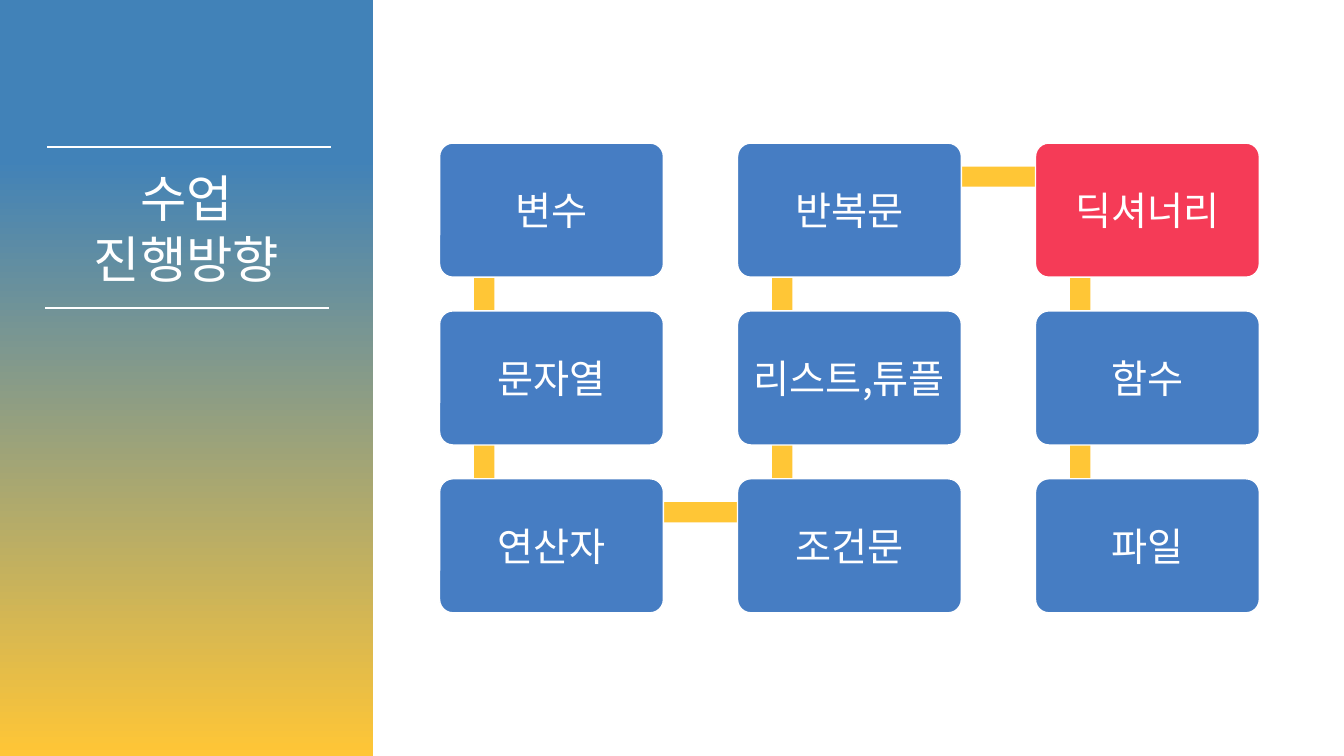
from dataclasses import dataclass

from lxml.etree import SubElement
from pptx import Presentation
from pptx.dml.color import RGBColor
from pptx.enum.shapes import MSO_CONNECTOR, MSO_SHAPE
from pptx.enum.text import MSO_ANCHOR, PP_ALIGN
from pptx.oxml.ns import qn
from pptx.util import Inches, Pt


@dataclass(frozen=True)
class Theme:
    font: str = "Noto Sans CJK KR"
    title_size: int = 36
    card_size: int = 28
    white: RGBColor = RGBColor.from_string("FFFFFF")
    sidebar_blue: RGBColor = RGBColor.from_string("4182B8")
    card_blue: RGBColor = RGBColor.from_string("467DC3")
    yellow: RGBColor = RGBColor.from_string("FFC636")
    red: RGBColor = RGBColor.from_string("F53B57")


THEME = Theme()
SLIDE_WIDTH, SLIDE_HEIGHT = 13.33, 7.5

# Lessons in teaching order with their (column, row) along the snaking route
ROUTE = [
    ("변수", 0, 0), ("문자열", 0, 1), ("연산자", 0, 2),
    ("조건문", 1, 2), ("리스트,튜플", 1, 1), ("반복문", 1, 0),
    ("딕셔너리", 2, 0), ("함수", 2, 1), ("파일", 2, 2),
]
CURRENT_LESSON = "딕셔너리"


def add_block(slide, kind, left, top, width, height, color=None):
    block = slide.shapes.add_shape(
        kind, Inches(left), Inches(top), Inches(width), Inches(height))
    block.shadow.inherit = False
    block.line.fill.background()
    if color is not None:
        block.fill.solid()
        block.fill.fore_color.rgb = color
    return block


def write_line(paragraph, text, size):
    paragraph.alignment = PP_ALIGN.CENTER
    run = paragraph.add_run()
    run.text = text
    run.font.name = THEME.font
    run.font.size = Pt(size)
    run.font.color.rgb = THEME.white
    # East Asian typeface for the Korean letters
    SubElement(run.font._element, qn("a:ea")).set("typeface", THEME.font)


def add_rule(slide, left, top, width):
    rule = slide.shapes.add_connector(
        MSO_CONNECTOR.STRAIGHT, Inches(left), Inches(top),
        Inches(left + width), Inches(top))
    rule.line.color.rgb = THEME.white
    rule.line.width = Pt(1.5)
    SubElement(rule._element.spPr, qn("a:effectLst"))


def draw_sidebar(slide, left, top, width, height):
    # Gradient panel
    panel = add_block(slide, MSO_SHAPE.RECTANGLE, left, top, width, height)
    panel.fill.gradient()
    panel.fill.gradient_angle = 270
    stops = ((0.21, THEME.sidebar_blue), (1, THEME.yellow))
    for stop, (position, color) in zip(panel.fill.gradient_stops, stops):
        stop.position = position
        stop.color.rgb = color

    # Rules above and below the title
    for indent, drop in ((0.47, 1.46), (0.45, 3.06)):
        add_rule(slide, left + indent, top + drop, 2.81)

    # Title
    title = slide.shapes.add_textbox(
        Inches(left), Inches(top + 1.61), Inches(width), Inches(1.31)).text_frame
    title.word_wrap = True
    write_line(title.paragraphs[0], "수업", THEME.title_size)
    write_line(title.add_paragraph(), "진행방향", THEME.title_size)


def draw_route(slide, left, top, width, height):
    card_width, card_height, bar = 2.22, 1.33, 0.2
    column_step = (width - card_width) / 2
    row_step = (height - card_height) / 2
    corners = [(left + column * column_step, top + row * row_step)
               for _, column, row in ROUTE]

    # Bars between consecutive lessons, tucked under the cards
    joints = [(x + 0.2 * card_width, y + 0.25 * card_height) for x, y in corners]
    for (x1, y1), (x2, y2) in zip(joints, joints[1:]):
        across, down = abs(x2 - x1), abs(y2 - y1)
        if across > down:
            box = (min(x1, x2), y1 - bar / 2, across, bar)
        else:
            box = (x1 - bar / 2, min(y1, y2), bar, down)
        add_block(slide, MSO_SHAPE.RECTANGLE, *box, THEME.yellow)

    # Lesson cards
    for (lesson, _, _), (x, y) in zip(ROUTE, corners):
        color = THEME.red if lesson == CURRENT_LESSON else THEME.card_blue
        card = add_block(slide, MSO_SHAPE.ROUNDED_RECTANGLE,
                         x, y, card_width, card_height, color)
        card.adjustments[0] = 0.1
        card.line.color.rgb = THEME.white
        card.line.width = Pt(1)
        label = card.text_frame
        label.word_wrap = True
        label.vertical_anchor = MSO_ANCHOR.MIDDLE
        label.margin_left = label.margin_right = Inches(0.12)
        label.margin_top = label.margin_bottom = Inches(0.12)
        write_line(label.paragraphs[0], lesson, THEME.card_size)


def main():
    deck = Presentation()
    deck.slide_width, deck.slide_height = Inches(SLIDE_WIDTH), Inches(SLIDE_HEIGHT)
    slide = deck.slides.add_slide(deck.slide_layouts[6])
    draw_sidebar(slide, 0, 0, 3.7, SLIDE_HEIGHT)
    draw_route(slide, 4.36, 1.42, 8.13, 4.66)
    deck.save("out.pptx")


if __name__ == "__main__":
    main()
